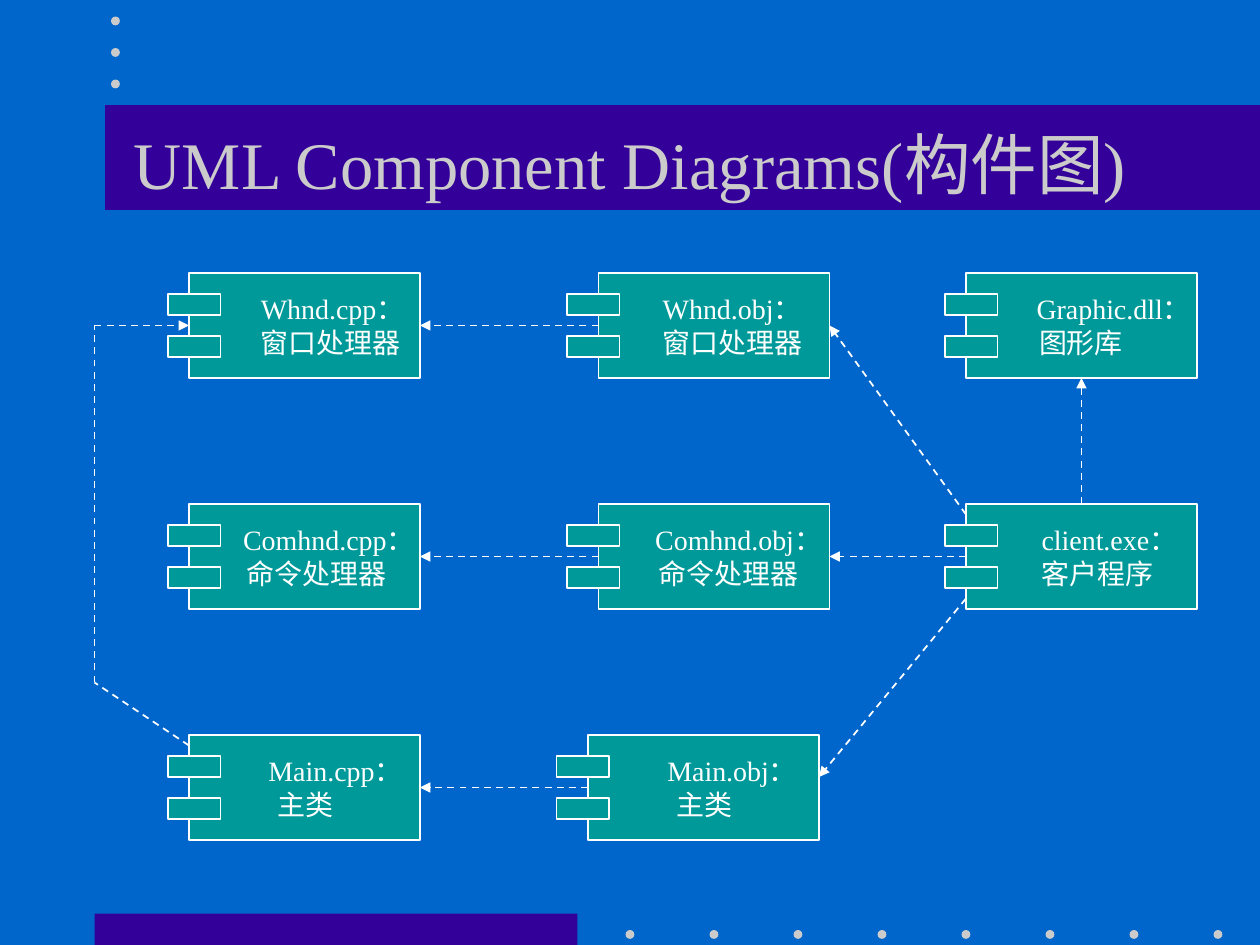
from pptx import Presentation, util as u
from pptx.dml.color import RGBColor
from pptx.enum import dml, shapes, text
from pptx.oxml.ns import qn
from lxml import etree

BLUE = RGBColor(0x00, 0x66, 0xCC)
PURPLE = RGBColor(0x33, 0x00, 0x99)
GRAY = RGBColor(0xCB, 0xCB, 0xCB)
TEAL = RGBColor(0x00, 0x99, 0x99)
WHITE = RGBColor(0xFF, 0xFF, 0xFF)
FONT = "Times New Roman"

COLUMNS, ROWS = 120, 90
CELL = u.Inches(10) / COLUMNS
BOX_WIDTH, BOX_HEIGHT = 22, 10
ROW_TOPS = (26, 48, 70)

# row, left column, depth of the tabs, then each line with its indent in inches
COMPONENTS = [
    (0, 18, 2, [("Whnd.cpp：", 0.57), ("窗口处理器", 0.57)]),
    (0, 57, 3, [("Whnd.obj：", 0.51), ("窗口处理器", 0.51)]),
    (0, 92, 2, [("Graphic.dll：", 0.56), ("图形库", 0.58)]),
    (1, 18, 2, [("Comhnd.cpp：", 0.43), ("命令处理器", 0.46)]),
    (1, 57, 3, [("Comhnd.obj：", 0.45), ("命令处理器", 0.48)]),
    (1, 92, 2, [("client.exe：", 0.6), ("客户程序", 0.6)]),
    (2, 18, 2, [("Main.cpp：", 0.63), ("主类", 0.7)]),
    (2, 56, 3, [("Main.obj：", 0.63), ("主类", 0.7)]),
]

# corner points of each dependency; the last one has the arrowhead
DEPENDENCIES = [
    [(56, 75), (40, 75)],
    [(57, 53), (40, 53)],
    [(57, 31), (40, 31)],
    [(92, 53), (79, 53)],
    [(103, 48), (103, 36)],
    [(92, 57), (78, 74)],
    [(92, 49), (79, 31)],
    [(18, 71), (9, 65), (9, 31), (18, 31)],
]


def cells(*values):
    return [u.Emu(round(value * CELL)) for value in values]


def set_all(target, values):
    for name, value in values.items():
        setattr(target, name, value)


def add_filled(slide, kind, box, fill, line=None):
    shape = slide.shapes.add_shape(kind, *cells(*box))
    shape.shadow.inherit = False
    shape.fill.solid()
    shape.fill.fore_color.rgb = fill
    if line is None:
        shape.line.fill.background()
    else:
        shape.line.color.rgb = line
        shape.line.width = u.Pt(1)
    return shape


def add_dots(slide, column, row, count, column_step=0, row_step=0):
    """Row of dots, the first centred on the given grid point."""
    size = 0.84
    for index in range(count):
        box = (column + index * column_step - size / 2,
               row + index * row_step - size / 2, size, size)
        add_filled(slide, shapes.MSO_SHAPE.OVAL, box, GRAY)


def add_decoration(slide):
    rectangle = shapes.MSO_SHAPE.RECTANGLE
    add_filled(slide, rectangle, (9, ROWS - 3, 46, 3), PURPLE)
    add_dots(slide, 60, ROWS - 1, 8, column_step=8)
    add_filled(slide, rectangle, (10, 10, COLUMNS - 10, 10), PURPLE)
    add_dots(slide, 11, 2, 3, row_step=3)


def add_title(slide, box):
    title = slide.shapes.title
    set_all(title, dict(zip(("left", "top", "width", "height"), cells(*box))))
    frame = title.text_frame
    set_all(frame, {"text": "UML Component Diagrams(构件图)", "word_wrap": True,
                    "vertical_anchor": text.MSO_ANCHOR.MIDDLE})
    paragraph = frame.paragraphs[0]
    paragraph.alignment = text.PP_ALIGN.CENTER
    set_all(paragraph.font, {"size": u.Pt(38), "name": FONT})
    paragraph.font.color.rgb = GRAY
    # bring the title in front of its bar
    title._element.getparent().append(title._element)


def add_component(slide, left, top, depth, lines):
    """Component symbol: a labelled box with two tabs on its left edge."""
    rectangle = shapes.MSO_SHAPE.RECTANGLE
    shape = add_filled(slide, rectangle, (left, top, BOX_WIDTH, BOX_HEIGHT), TEAL, WHITE)
    frame = shape.text_frame
    set_all(frame, {"word_wrap": True, "margin_left": 0, "margin_right": 0,
                    "vertical_anchor": text.MSO_ANCHOR.MIDDLE})
    frame.text = "\n".join(label for label, _ in lines)
    for paragraph, (_, indent) in zip(frame.paragraphs, lines):
        paragraph.alignment = text.PP_ALIGN.LEFT
        paragraph._p.get_or_add_pPr().set("marL", str(u.Inches(indent)))
        set_all(paragraph.font, {"size": u.Pt(16), "name": FONT})
        paragraph.font.color.rgb = WHITE
    for offset in (2, 6):
        add_filled(slide, rectangle, (left - depth, top + offset, 5, 2), TEAL, WHITE)


def add_dependency(slide, points):
    for start, end in zip(points, points[1:]):
        connector = slide.shapes.add_connector(
            shapes.MSO_CONNECTOR.STRAIGHT, *cells(*start, *end))
        connector.line.color.rgb = WHITE
        set_all(connector.line, {"width": u.Pt(1),
                                 "dash_style": dml.MSO_LINE.DASH})
        etree.SubElement(connector._element.spPr, qn("a:effectLst"))
    etree.SubElement(connector.line._get_or_add_ln(), qn("a:tailEnd"), type="triangle")


def main():
    presentation = Presentation()
    set_all(presentation, {"slide_width": u.Inches(10), "slide_height": u.Inches(7.5)})
    slide = presentation.slides.add_slide(presentation.slide_layouts[5])
    slide.background.fill.solid()
    slide.background.fill.fore_color.rgb = BLUE
    add_decoration(slide)
    add_title(slide, (9, 8, 102, 15))
    for row, left, depth, lines in COMPONENTS:
        add_component(slide, left, ROW_TOPS[row], depth, lines)
    for points in DEPENDENCIES:
        add_dependency(slide, points)
    presentation.save("out.pptx")


if __name__ == "__main__":
    main()
